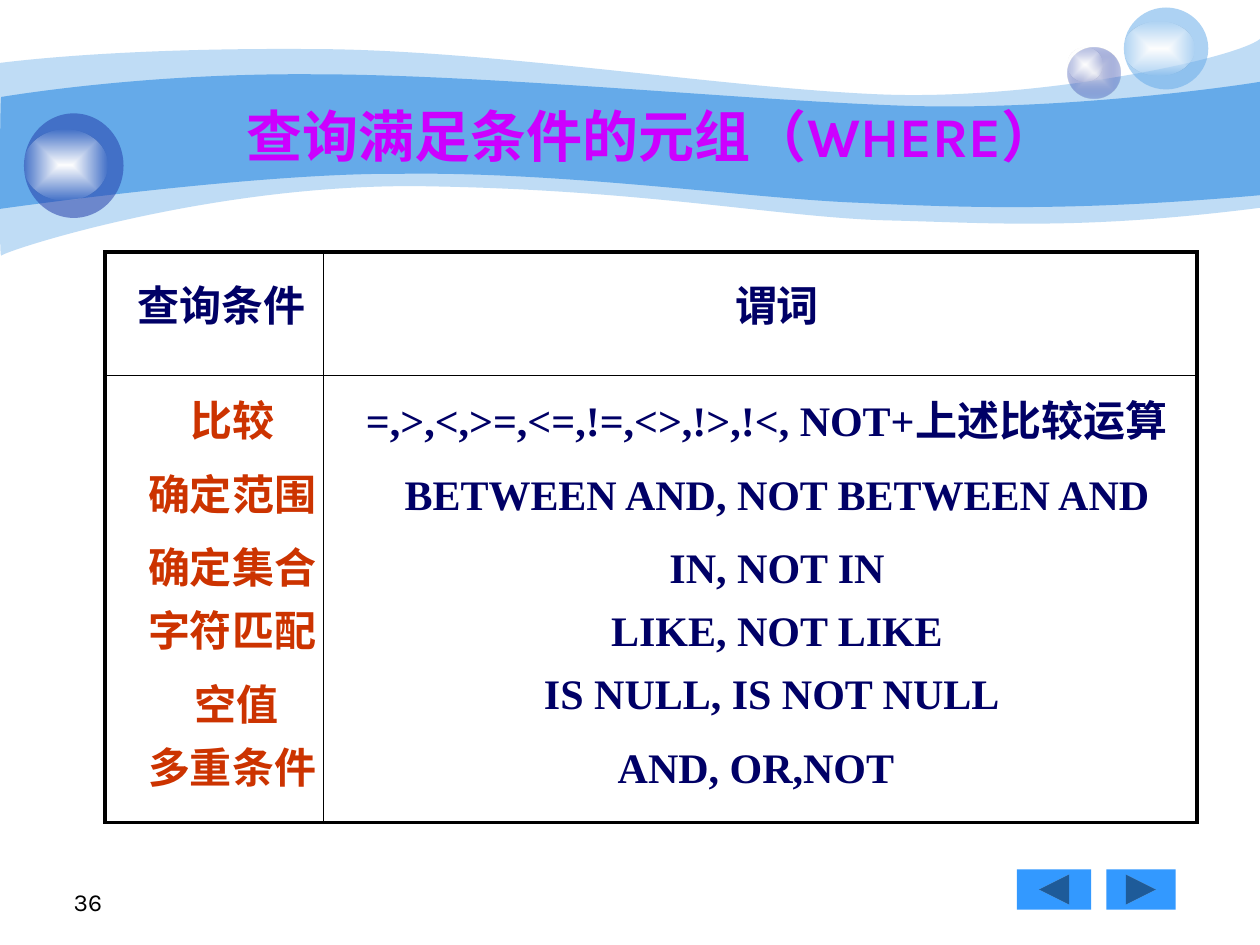
from dataclasses import dataclass
from typing import NamedTuple
from lxml.etree import SubElement
from pptx import Presentation
from pptx.dml.color import RGBColor
from pptx.enum.shapes import MSO_SHAPE as Kind
from pptx.enum.text import MSO_ANCHOR as Anchor, MSO_AUTO_SIZE as Fit, PP_ALIGN as Align
from pptx.oxml.ns import qn
from pptx.util import Emu, Inches, Pt

WIDE, HIGH = Inches(10), Inches(7.5)
FINE = WIDE // 1000
GRID = WIDE // 120
SKY, DEEP, NAVY, RUST = "65AAE9", "233DA9", "000066", "CC3300"
SERIF, SANS = "Times New Roman", "Karla"


class Box(NamedTuple):
    x: float
    y: float
    w: float
    h: float

    def scale(self, cell: int) -> list:
        return [Emu(round(v * cell)) for v in self]


class Stop(NamedTuple):
    hue: str
    alpha: int = 100


class Wave(NamedTuple):
    alpha: int
    top: list
    base: list


@dataclass
class Orb:
    box: Box
    fill: list
    shine: Box


@dataclass
class Label:
    text: str
    box: Box
    hue: str = NAVY
    font: str = SERIF
    size: int = 24
    bold: bool = True
    align: Align = Align.CENTER
    cell: int = GRID


GLOW = [Stop("FFFFFF"), Stop("FFFFFF", 0)]

WAVES = [
    Wave(41,
         [(0, 50), (24, 47), (107, 38), (247, 39), (386, 39), (575, 70), (699, 75),
          (822, 80), (980, 47), (1000, 31)],
         [(1000, 165), (858, 183), (787, 177), (705, 175), (622, 173), (515, 151),
          (343, 148), (172, 144), (4, 199), (1, 203), (-1, 208), (0, 75), (0, 50)]),
    Wave(100,
         [(1, 77), (2, 77), (110, 58), (248, 59), (386, 59), (595, 80), (718, 84),
          (841, 88), (976, 69), (1000, 65)],
         [(1000, 155), (853, 168), (765, 165), (682, 161), (599, 158), (447, 136),
          (317, 138), (203, 137), (-2, 166), (-1, 166), (0, 166), (0, 77), (1, 77)]),
]

ORBS = [
    Orb(Box(847, 38, 42, 40), [Stop("E1E2ED"), Stop(DEEP, 31)], Box(847, 38, 28, 27)),
    Orb(Box(892, 6, 67, 65), [Stop(SKY, 53)], Box(892, 17, 56, 43)),
    Orb(Box(19, 90, 79, 83), [Stop(DEEP, 53)], Box(19, 103, 66, 56)),
]

KEYS = [("查询条件", 11, 26, NAVY), ("比较", 12, 37, RUST), ("确定范围", 12, 44, RUST),
        ("确定集合", 12, 51, RUST), ("字符匹配", 12, 57, RUST), ("空值", 12.4, 64, RUST),
        ("多重条件", 12, 70, RUST)]

TERMS = [("谓词", 67, 26, 14), ("=,>,<,>=,<=,!=,<>,!>,!<, NOT+上述比较运算", 32, 37, 82),
         ("BETWEEN AND, NOT BETWEEN AND", 34, 44, 80), ("IN, NOT IN", 34, 51, 80),
         ("LIKE, NOT LIKE", 34, 57, 80), ("IS NULL, IS NOT NULL", 34, 63, 79),
         ("AND, OR,NOT", 33, 70, 78)]

COLS, ROWS = (20.8, 83.2), (11.75, 42.6)


def color(hue: str) -> RGBColor:
    return RGBColor.from_string(hue)


def tint(node, stop: Stop) -> None:
    clr = SubElement(node, qn("a:srgbClr"), val=stop.hue)
    if stop.alpha < 100:
        SubElement(clr, qn("a:alpha"), val=str(stop.alpha * 1000))


def paint(shape, stops: list) -> None:
    shape.shadow.inherit = False
    shape.line.fill.background()
    shape.fill.solid()
    shape.fill.fore_color.rgb = color(stops[0].hue)
    old = shape.fill._xPr.find(qn("a:solidFill"))
    if len(stops) == 1:
        old.remove(old[0])
        tint(old, stops[0])
        return
    grad = old.makeelement(qn("a:gradFill"))
    ramp = SubElement(grad, qn("a:gsLst"))
    for pos, stop in enumerate(stops):
        tint(SubElement(ramp, qn("a:gs"), pos=str(pos * 100000)), stop)
    sweep = SubElement(grad, qn("a:path"), path="shape")
    SubElement(sweep, qn("a:fillToRect"), dict.fromkeys("ltrb", "50000"))
    old.getparent().replace(old, grad)


def bend(lines: list) -> None:
    for i in range(0, len(lines), 3):
        first, *rest = lines[i:i + 3]
        curve = first.makeelement(qn("a:cubicBezTo"))
        first.addprevious(curve)
        for line in (first, *rest):
            curve.append(line[0])
            line.getparent().remove(line)


def draw_wave(shapes, wave: Wave) -> None:
    dots = [(x * FINE, y * FINE) for x, y in wave.top + wave.base]
    pen = shapes.build_freeform(*dots[0])
    pen.add_line_segments(dots[1:], close=True)
    shape = pen.convert_to_shape()
    lines = list(shape._element.iter(qn("a:lnTo")))
    side = len(wave.top) - 1
    bend(lines[:side])
    bend(lines[side + 1:side + len(wave.base)])
    paint(shape, [Stop(SKY, wave.alpha)])


def draw_shape(shapes, kind: Kind, box: Box, stops: list) -> None:
    paint(shapes.add_shape(kind, *box.scale(FINE)), stops)


def draw_orb(shapes, orb: Orb) -> None:
    draw_shape(shapes, Kind.OVAL, orb.box, orb.fill)
    draw_shape(shapes, Kind.OVAL, orb.shine, GLOW)


def draw_label(shapes, label: Label):
    frame = shapes.add_textbox(*label.box.scale(label.cell)).text_frame
    frame.word_wrap = True
    para = frame.paragraphs[0]
    para.alignment = label.align
    run = para.add_run()
    run.text = label.text
    font = run.font
    font.name, font.size, font.bold = label.font, Pt(label.size), label.bold
    font.color.rgb = color(label.hue)
    return frame


def draw_table(shapes) -> None:
    box = Box(10, 24, sum(COLS), sum(ROWS))
    table = shapes.add_table(2, 2, *box.scale(GRID)).table
    table.first_row = table.horz_banding = False
    for col, span in zip(table.columns, COLS):
        col.width = Emu(round(span * GRID))
    for row, span in zip(table.rows, ROWS):
        row.height = Emu(round(span * GRID))
    for r in (0, 1):
        for c in (0, 1):
            cell = table.cell(r, c)
            props = cell._tc.get_or_add_tcPr()
            for side, edge in zip("LRTB", (c == 0, c == 1, r == 0, r == 1)):
                line = SubElement(props, qn(f"a:ln{side}"), w=str(Pt(2.25 if edge else 1)))
                tint(SubElement(line, qn("a:solidFill")), Stop("000000"))
            cell.fill.background()


def main() -> None:
    deck = Presentation()
    deck.slide_width, deck.slide_height = WIDE, HIGH
    shapes = deck.slides.add_slide(deck.slide_layouts[6]).shapes
    for wave in WAVES:
        draw_wave(shapes, wave)
    for orb in ORBS:
        draw_orb(shapes, orb)
    for kind, x, w in ((Kind.ACTION_BUTTON_BACK_OR_PREVIOUS, 807, 59),
                       (Kind.ACTION_BUTTON_FORWARD_OR_NEXT, 878, 55)):
        draw_shape(shapes, kind, Box(x, 690, w, 32), [Stop("3399FF")])
    draw_table(shapes)
    labels = [Label(text, Box(x, y, 20.2, 6), hue) for text, x, y, hue in KEYS]
    labels += [Label(text, Box(x, y, w, 6)) for text, x, y, w in TERMS]
    for label in labels:
        draw_label(shapes, label).auto_size = Fit.SHAPE_TO_FIT_TEXT
    title = draw_label(shapes, Label("查询满足条件的元组（WHERE）", Box(59, 76, 917, 58),
                                     "CC00FF", SANS, 32, cell=FINE)).paragraphs[0]
    title.space_before = Pt(6.4)
    props = title._p.get_or_add_pPr()
    props.set("marL", str(38 * FINE))
    props.set("indent", str(-38 * FINE))
    page = draw_label(shapes, Label("36", Box(27, 682, 64, 50), "000000", SANS, 14,
                                    False, Align.RIGHT, FINE))
    page.vertical_anchor = Anchor.BOTTOM
    deck.save("out.pptx")


if __name__ == "__main__":
    main()
